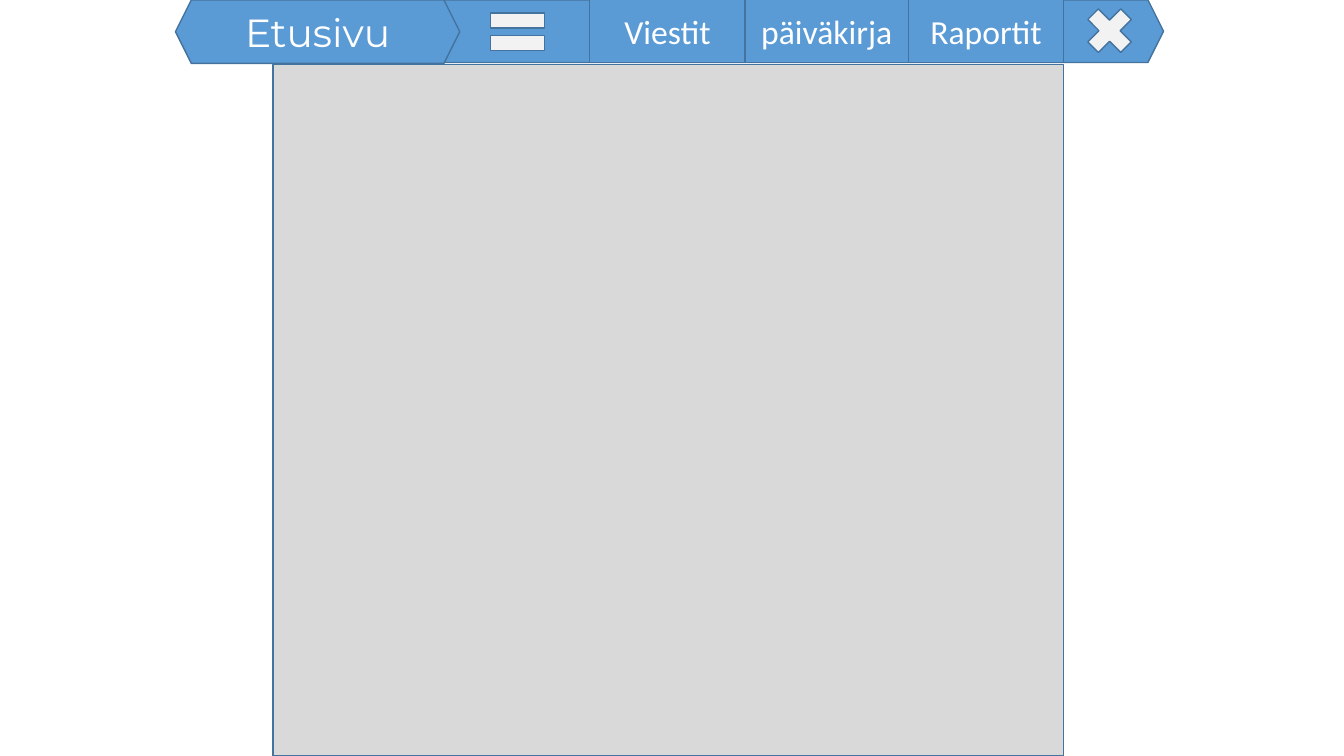
import pptx
import pptx.util
import pptx.dml.color
import pptx.enum.shapes
import pptx.enum.text

Inches = pptx.util.Inches
Pt = pptx.util.Pt
Kind = pptx.enum.shapes.MSO_SHAPE


def colour(hex_value):
    return pptx.dml.color.RGBColor.from_string(hex_value)


class NavigationSlide:
    BLUE = "5B9BD5"
    OUTLINE = "43739E"
    ICON = "F2F2F2"
    PANEL = "D9D9D9"
    TEXT = "FFFFFF"

    def __init__(self, slide):
        self.slide = slide

    def block(self, kind, left, top, width, height, fill=BLUE):
        shape = self.slide.shapes.add_shape(
            kind, Inches(left), Inches(top), Inches(width), Inches(height))
        shape.shadow.inherit = False
        shape.fill.solid()
        shape.fill.fore_color.rgb = colour(fill)
        shape.line.color.rgb = colour(self.OUTLINE)
        shape.line.width = Pt(1)
        return shape

    def button(self, label, kind, left, top, width, height, **font_format):
        frame = self.block(kind, left, top, width, height).text_frame
        frame.word_wrap = True
        frame.vertical_anchor = pptx.enum.text.MSO_ANCHOR.MIDDLE
        paragraph = frame.paragraphs[0]
        paragraph.alignment = pptx.enum.text.PP_ALIGN.CENTER
        run = paragraph.add_run()
        run.text = label
        run.font.color.rgb = colour(self.TEXT)
        for name, value in font_format.items():
            setattr(run.font, name, value)


deck = pptx.Presentation()
deck.slide_width = Inches(13.33)
deck.slide_height = Inches(7.5)
page = NavigationSlide(deck.slides.add_slide(deck.slide_layouts[6]))

bar_height = 0.63
tab_top = -0.01
page.block(Kind.HEXAGON, 3.92, 0, 7.62, 0.62)
page.button("Etusivu", Kind.HEXAGON, 1.74, 0, 2.82, bar_height,
            name="Montserrat", size=Pt(28))

tab_left = 5.85
for tab, tab_width in (("Viestit", 1.54), ("päiväkirja", 1.62), ("Raportit", 1.54)):
    page.button(tab, Kind.RECTANGLE, tab_left, tab_top, tab_width, bar_height,
                name="Calibri", size=Pt(24))
    tab_left += tab_width

page.block(Kind.MATH_MULTIPLY, 10.69, tab_top, 0.63, bar_height, page.ICON)
page.block(Kind.MATH_EQUAL, 4.77, 0, 0.73, bar_height, page.ICON)
page.block(Kind.RECTANGLE, 2.71, 0.64, 7.84, 6.86, page.PANEL)

deck.save("out.pptx")
